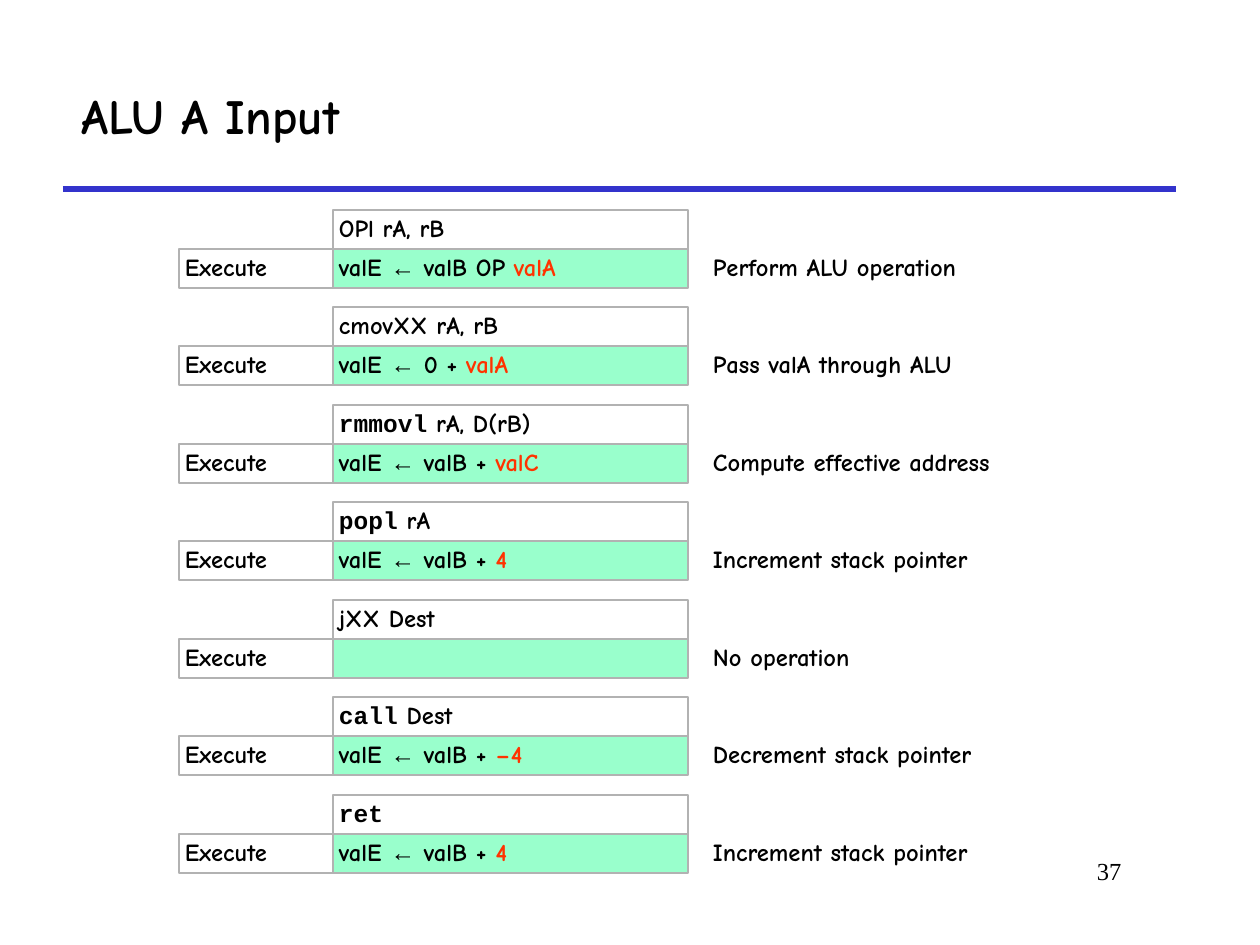
from lxml.etree import SubElement
from pptx import Presentation
from pptx.dml.color import RGBColor
from pptx.enum.shapes import MSO_CONNECTOR as CONN, MSO_SHAPE as SHAPE
from pptx.enum.text import MSO_ANCHOR as ANCHOR, PP_ALIGN as ALIGN
from pptx.oxml.ns import qn
from pptx.util import Pt

PX = 914400 // 126
BLACK = RGBColor(0x00, 0x00, 0x00)
RED = RGBColor(0xFF, 0x33, 0x00)
BLUE = RGBColor(0x33, 0x33, 0xCC)
GRAY = RGBColor(0xB2, 0xB2, 0xB2)
GREEN = RGBColor(0x99, 0xFF, 0xCC)
COMIC, COURIER, ARIAL, TIMES = "Comic Neue", "Courier New", "Arial", "Times New Roman"

TITLE = "ALU A Input"
PAGE = "37"
STAGE = "Execute"
INSTRUCTIONS = [
    ("", "OPl rA, rB", " valB OP ", "valA", "Perform ALU operation"),
    ("", "cmovXX rA, rB", " 0 + ", "valA", "Pass valA through ALU"),
    ("rmmovl", " rA, D(rB)", " valB + ", "valC", "Compute effective address"),
    ("popl", " rA", " valB + ", "4", "Increment stack pointer"),
    ("", "jXX Dest", "", "", "No operation"),
    ("call", " Dest", " valB + ", "–4", "Decrement stack pointer"),
    ("ret", "", " valB + ", "4", "Increment stack pointer"),
]

STAGE_X, STAGE_W = 179, 154
BOX_X, BOX_W = 333, 355
NOTE_X = 707
TOP, BOTTOM, ROW_H = 210, 795, 39


def add_runs(p, runs, size=14, bold=True):
    for text, font, color in runs:
        if text:
            r = p.add_run()
            r.text = text
            r.font.name = font
            r.font.size = Pt(size)
            r.font.bold = bold
            r.font.color.rgb = color


def add_label(s, x, y, w, h, runs, size, bold=True, anchor=ANCHOR.TOP, align=ALIGN.LEFT):
    sp = s.shapes.add_textbox(x * PX, y * PX, w * PX, h * PX)
    tf = sp.text_frame
    tf.word_wrap = True
    tf.vertical_anchor = anchor
    tf.paragraphs[0].alignment = align
    add_runs(tf.paragraphs[0], runs, size, bold)


def add_cell(s, x, y, w, runs, fill=None, outlined=True, anchor=ANCHOR.TOP):
    area = (x * PX, y * PX, w * PX, ROW_H * PX)
    if outlined:
        sp = s.shapes.add_shape(SHAPE.RECTANGLE, *area)
        sp.shadow.inherit = False
        sp.line.color.rgb = GRAY
        sp.line.width = Pt(1.5)
        if fill:
            sp.fill.solid()
            sp.fill.fore_color.rgb = fill
        else:
            sp.fill.background()
    else:
        sp = s.shapes.add_textbox(*area)
    tf = sp.text_frame
    tf.word_wrap = True
    tf.vertical_anchor = anchor
    tf.margin_left = tf.margin_right = tf.margin_top = tf.margin_bottom = 6 * PX
    p = tf.paragraphs[0]
    p.alignment = ALIGN.LEFT
    p.line_spacing = 0.9
    p.space_before = Pt(8.8)
    add_runs(p, runs)


def main():
    prs = Presentation()
    prs.slide_width, prs.slide_height = 1260 * PX, 945 * PX
    s = prs.slides.add_slide(prs.slide_layouts[6])

    rule = s.shapes.add_connector(CONN.STRAIGHT, 63 * PX, 189 * PX, 1176 * PX, 189 * PX)
    rule.line.color.rgb = BLUE
    rule.line.width = Pt(3)
    SubElement(rule._element.spPr, qn("a:effectLst"))

    add_label(s, 955, 850, 179, 63, [(PAGE, TIMES, BLACK)], 14, bold=False, align=ALIGN.RIGHT)
    add_label(s, 69, 61, 1106, 107, [(TITLE, COMIC, BLACK)], 28, anchor=ANCHOR.MIDDLE)

    for i, (opcode, operands, source, operand, note) in enumerate(INSTRUCTIONS):
        y = TOP + i * (BOTTOM - TOP) // (len(INSTRUCTIONS) - 1)
        step_y = y + ROW_H
        formula = [
            ("valE ", COMIC, BLACK),
            ("←", ARIAL, BLACK),
            (source, COMIC, BLACK),
            (operand, COMIC, RED),
        ] if operand else []
        add_cell(s, BOX_X, y, BOX_W, [(opcode, COURIER, BLACK), (operands, COMIC, BLACK)])
        add_cell(s, STAGE_X, step_y, STAGE_W, [(STAGE, COMIC, BLACK)], anchor=ANCHOR.MIDDLE)
        add_cell(s, BOX_X, step_y, BOX_W, formula, fill=GREEN)
        add_cell(s, NOTE_X, step_y, BOX_W, [(note, COMIC, BLACK)], outlined=False)

    prs.save("out.pptx")


if __name__ == "__main__":
    main()
